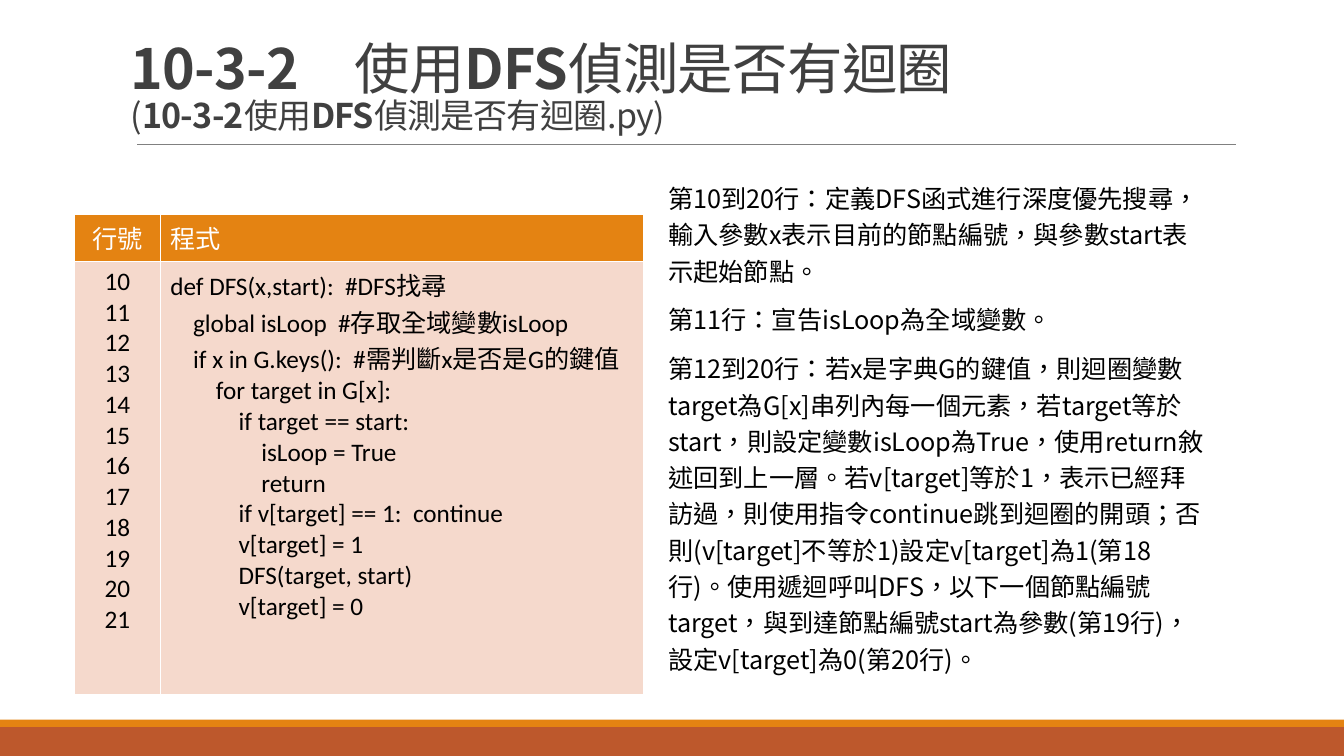
from lxml import etree
from pptx import Presentation
from pptx import util as u
from pptx.dml.color import RGBColor
from pptx.enum import lang, shapes, text
from pptx.oxml.ns import qn

WIDTH, HEIGHT = 13.33, 7.5
LATIN, CJK = "Calibri", "Noto Sans CJK SC"
ORANGE, RUST, PINK, WHITE, BLACK = "E48312", "BD582C", "F5D9CC", "FFFFFF", "000000"

TITLE_LINES = [
    (39.6, [("10-3-2　", True), ("使用", False),
            ("DFS", True), ("偵測是否有迴圈", False)]),
    (24.3, [("(", False), ("10-3-2", True), ("使用", False),
            ("DFS", True), ("偵測是否有迴圈.py)", False)]),
]
LINE_NUMBERS = [str(number) for number in range(10, 22)]
CODE = """def DFS(x,start):  #DFS找尋
    global isLoop  #存取全域變數isLoop
    if x in G.keys():  #需判斷x是否是G的鍵值
        for target in G[x]:
            if target == start:
                isLoop = True
                return
            if v[target] == 1:  continue
            v[target] = 1
            DFS(target, start)
            v[target] = 0""".split("\n")
EXPLANATION = [
    "第10到20行：定義DFS函式進行深度優先搜尋，輸入參數x表示目前的節點編號，與參數start表示起始節點。",
    "第11行：宣告isLoop為全域變數。",
    "第12到20行：若x是字典G的鍵值，則迴圈變數target為G[x]串列內每一個元素，"
    "若target等於start，則設定變數isLoop為True，使用return敘述回到上一層。"
    "若v[target]等於1，表示已經拜訪過，則使用指令continue跳到迴圈的開頭；"
    "否則(v[target]不等於1)設定v[target]為1(第18行)。"
    "使用遞迴呼叫DFS，以下一個節點編號target，與到達節點編號start為參數(第19行)，"
    "設定v[target]為0(第20行)。",
]


def color(value):
    return RGBColor.from_string(value)


def apply(target, values):
    for name, value in values.items():
        setattr(target, name, value)


def write(paragraph, words, size, shade, face, bold=False):
    run = paragraph.add_run()
    run.text = words
    apply(run.font, {"size": u.Pt(size), "name": face, "bold": bold,
                     "language_id": lang.MSO_LANGUAGE_ID.TRADITIONAL_CHINESE})
    run.font.color.rgb = color(shade)
    if face == CJK:
        etree.SubElement(run.font._element, qn("a:ea"), typeface=face)
    return run


def paragraphs(frame, lines):
    for index, line in enumerate(lines):
        yield index, frame.paragraphs[0] if index == 0 else frame.add_paragraph(), line


def text_frame(slide, box, anchor):
    frame = slide.shapes.add_textbox(*map(u.Inches, box)).text_frame
    apply(frame, {"word_wrap": True, "vertical_anchor": anchor})
    return frame


def add_footer(slide, box):
    left, top, width, height = box
    stripe = height * 0.2
    for y, depth, shade in ((top + stripe, height - stripe, RUST), (top, stripe, ORANGE)):
        band = slide.shapes.add_shape(
            shapes.MSO_SHAPE.RECTANGLE, *map(u.Inches, (left, y, width, depth)))
        band.shadow.inherit = False
        band.fill.solid()
        band.fill.fore_color.rgb = color(shade)
        band.line.fill.background()


def add_title(slide, box):
    left, top, width, height = box
    frame = text_frame(slide, box, text.MSO_ANCHOR.BOTTOM)
    heading = frame.paragraphs[0]
    heading.line_spacing = 0.85
    for index, (size, pieces) in enumerate(TITLE_LINES):
        if index:
            heading.add_line_break()
        for words, bold in pieces:
            run = write(heading, words, size, "404040", CJK, bold)
            run.font._element.set("spc", "-50")
    rule_y = top + height + 0.04
    rule = slide.shapes.add_connector(
        shapes.MSO_CONNECTOR.STRAIGHT,
        *map(u.Inches, (left + 0.16, rule_y, left + width + 0.06, rule_y)))
    rule.line.width = u.Pt(0.5)
    rule.line.color.rgb = color("808080")
    etree.SubElement(rule._element.spPr, qn("a:effectLst"))


def add_borders(cell):
    properties = cell._tc.get_or_add_tcPr()
    for index, side in enumerate(("lnL", "lnR", "lnT", "lnB")):
        border = etree.Element(qn("a:" + side), w=str(u.Pt(1)))
        fill = etree.SubElement(border, qn("a:solidFill"))
        etree.SubElement(fill, qn("a:srgbClr"), val=WHITE)
        properties.insert(index, border)


def add_listing(slide, box):
    left, top, width, height = box
    listing = slide.shapes.add_table(2, 2, *map(u.Inches, box)).table
    header, numbers = 0.45, 0.85
    for column, size in zip(listing.columns, (numbers, width - numbers)):
        column.width = u.Inches(size)
    for row, size in zip(listing.rows, (header, height - header)):
        row.height = u.Inches(size)
    rows = ((ORANGE, WHITE, (["行號"], ["程式"])), (PINK, BLACK, (LINE_NUMBERS, CODE)))
    aligns = (text.PP_ALIGN.CENTER, text.PP_ALIGN.LEFT)
    for r, (fill, ink, contents) in enumerate(rows):
        for c, (lines, align) in enumerate(zip(contents, aligns)):
            cell = listing.cell(r, c)
            cell.fill.solid()
            cell.fill.fore_color.rgb = color(fill)
            add_borders(cell)
            for _, paragraph, line in paragraphs(cell.text_frame, lines):
                paragraph.alignment = align
                write(paragraph, line, 18, ink, LATIN)


def add_explanation(slide, box):
    frame = text_frame(slide, box, text.MSO_ANCHOR.TOP)
    for index, paragraph, line in paragraphs(frame, EXPLANATION):
        apply(paragraph, {"line_spacing": 1.2, "space_after": u.Pt(3),
                          "space_before": u.Pt(6 if index else 0)})
        write(paragraph, line, 18, BLACK, CJK)


def main():
    deck = Presentation()
    apply(deck, {"slide_width": u.Inches(WIDTH), "slide_height": u.Inches(HEIGHT)})
    slide = deck.slides.add_slide(deck.slide_layouts[6])
    add_footer(slide, (0, 7.14, WIDTH, 0.36))
    add_listing(slide, (0.74, 2.13, 5.64, 4.75))
    add_explanation(slide, (6.53, 1.71, 5.51, 5.08))
    add_title(slide, (1.2, 0.31, 11, 1.08))
    deck.save("out.pptx")


if __name__ == "__main__":
    main()
